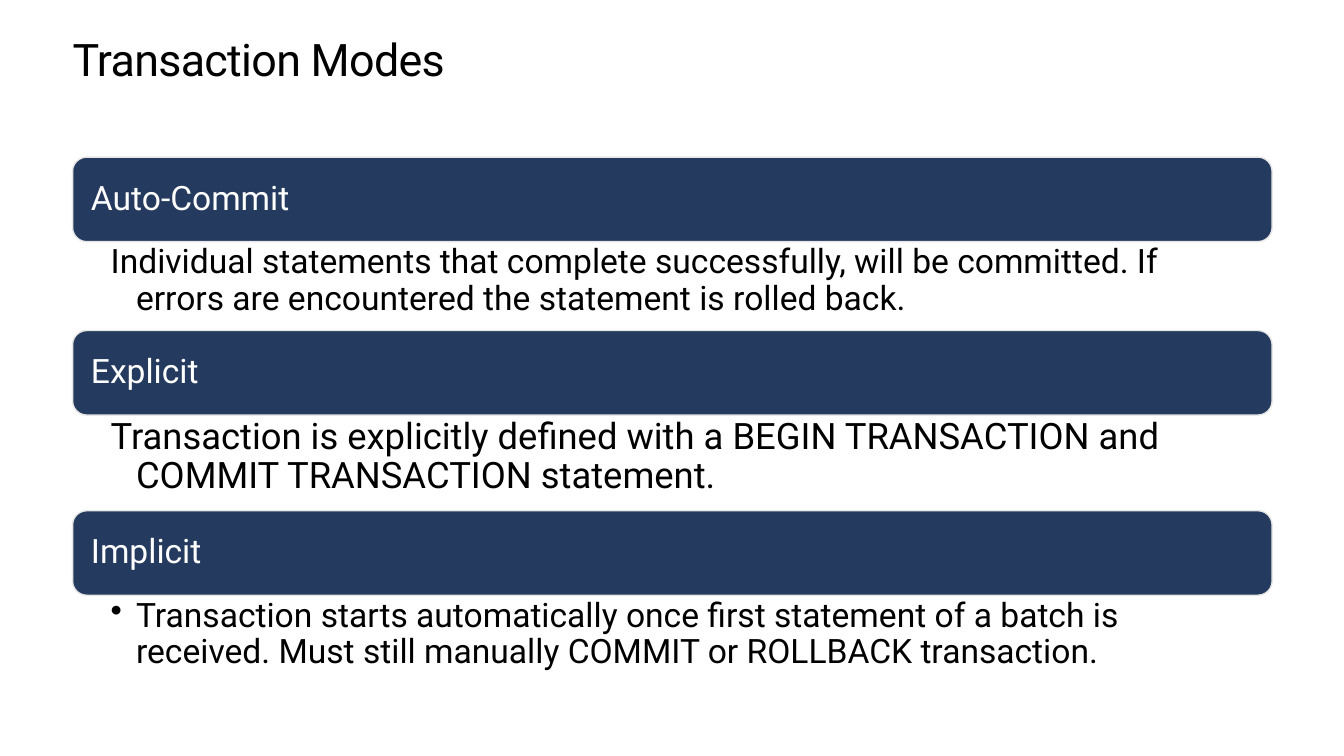
from lxml import etree
from pptx import Presentation
from pptx.dml.color import RGBColor
from pptx.enum.shapes import MSO_SHAPE
from pptx.enum.text import MSO_ANCHOR, PP_ALIGN
from pptx.oxml.ns import qn
from pptx.util import Cm, Pt

ROUNDED = MSO_SHAPE.ROUNDED_RECTANGLE
MIDDLE, TOP = MSO_ANCHOR.MIDDLE, MSO_ANCHOR.TOP
LEFT_ALIGN = PP_ALIGN.LEFT

COLOURS = {"navy": "243A5E", "outline": "E6E6E6", "white": "FFFFFF", "black": "000000"}
FONT = "Roboto"
LEFT, WIDTH = Cm(1.83), Cm(30.23)
BAR_HEIGHT = Cm(2.13)
FIRST_BAR_TOP = Cm(3.96)

# Heading, description, description size, description height in cm, bulleted
MODES = [
    ("Auto-Commit",
     "Individual statements that complete successfully, will be committed. "
     "If errors are encountered the statement is rolled back.", 24, 2.24, False),
    ("Explicit",
     "Transaction is explicitly defined with a BEGIN TRANSACTION and "
     "COMMIT TRANSACTION statement.", 26, 2.41, False),
    ("Implicit",
     "Transaction starts automatically once first statement of a batch is received. "
     "Must still manually COMMIT or ROLLBACK transaction.", 24, 2.24, True),
]


def colour(name):
    return RGBColor.from_string(COLOURS[name])


def apply(target, values):
    for name, value in values.items():
        setattr(target, name, value)


def write(shape, text, size, colour_name, frame_format, line_spacing=0.9):
    """Fill the shape with one paragraph and return that paragraph."""
    frame = shape.text_frame
    apply(frame, {"word_wrap": True, **frame_format})
    paragraph = frame.paragraphs[0]
    apply(paragraph, {"alignment": LEFT_ALIGN, "line_spacing": line_spacing})
    run = paragraph.add_run()
    run.text = text
    apply(run.font, {"name": FONT, "size": Pt(size)})
    run.font.color.rgb = colour(colour_name)
    return paragraph


def margins(left, top, right, bottom):
    return {"margin_left": Cm(left), "margin_top": Cm(top),
            "margin_right": Cm(right), "margin_bottom": Cm(bottom)}


def add_title(slide, text):
    box = slide.shapes.add_textbox(LEFT, Cm(0.89), WIDTH, Cm(1.27))
    paragraph = write(box, text, 32, "black", margins(0, 0, 0, 0), Pt(36.2))
    paragraph.runs[0].font._element.set("spc", "-50")


def add_bar(slide, top, heading):
    bar = slide.shapes.add_shape(ROUNDED, LEFT, top, WIDTH, BAR_HEIGHT)
    bar.shadow.inherit = False
    bar.fill.solid()
    bar.fill.fore_color.rgb = colour("navy")
    bar.line.color.rgb = colour("outline")
    bar.line.width = Pt(1)
    write(bar, heading, 24, "white",
          {"vertical_anchor": MIDDLE, **margins(0.36, 0.25, 0.36, 0.25)})


def add_description(slide, top, height, text, size, bulleted):
    box = slide.shapes.add_textbox(LEFT, top, WIDTH, height)
    paragraph = write(box, text, size, "black",
                      {"vertical_anchor": TOP, **margins(0.96, 0.08, 0.49, 0.08)})
    paragraph.level = 1
    properties = paragraph._p.get_or_add_pPr()
    properties.set("marL", str(Cm(0.64)))
    properties.set("indent", str(-Cm(0.64)))
    if bulleted:
        etree.SubElement(properties, qn("a:buChar")).set("char", "•")
    else:
        etree.SubElement(properties, qn("a:buNone"))


def main():
    presentation = Presentation()
    apply(presentation, {"slide_width": Cm(33.87), "slide_height": Cm(19.05)})
    slide = presentation.slides.add_slide(presentation.slide_layouts[6])
    add_title(slide, "Transaction Modes")
    top = FIRST_BAR_TOP
    for heading, description, size, height, bulleted in MODES:
        add_bar(slide, top, heading)
        top += BAR_HEIGHT
        add_description(slide, top, Cm(height), description, size, bulleted)
        top += Cm(height)
    presentation.save("out.pptx")


if __name__ == "__main__":
    main()
